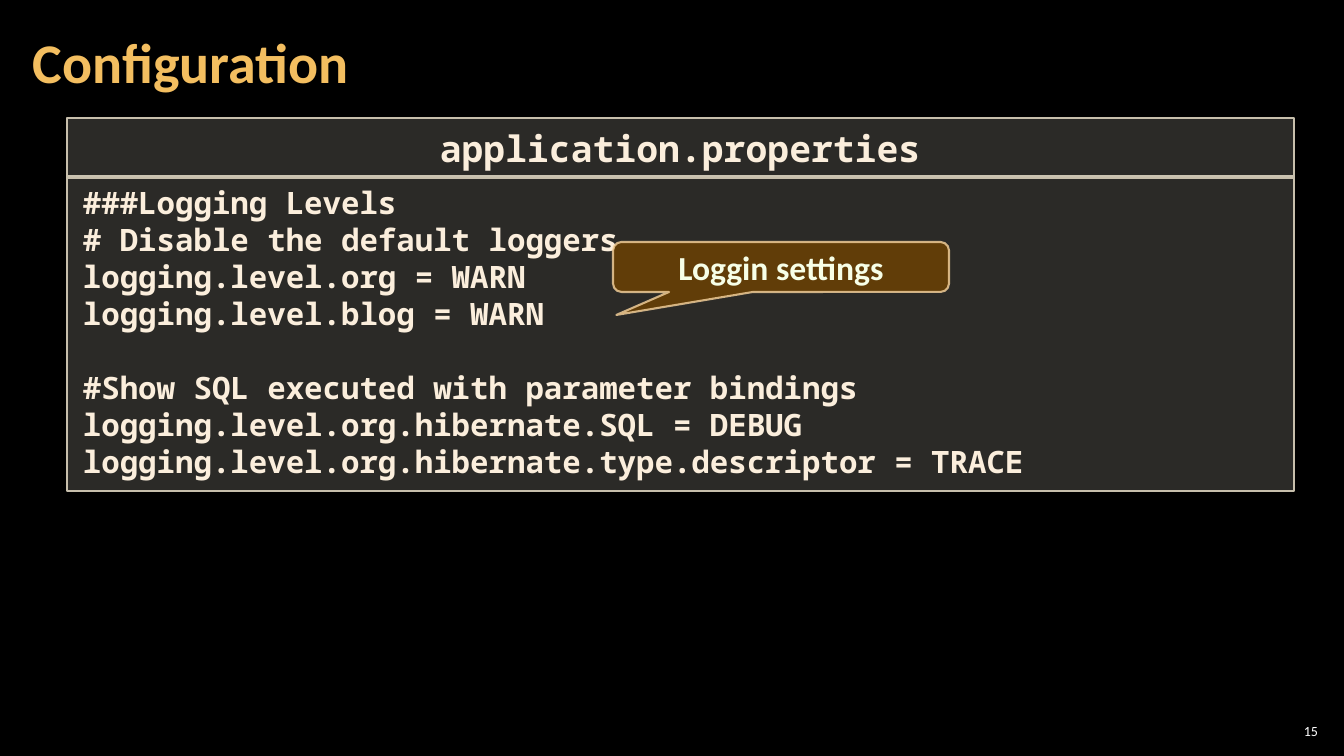
from lxml import etree
from pptx import Presentation
from pptx import util as u
from pptx.dml.color import RGBColor
from pptx.enum import shapes, text
from pptx.oxml import ns

EMU_PER_PX = 914400 / 100.8
MONO = "Noto Sans Mono"
SANS = "Calibri"
CREAM = "FBEEDC"
SETTING_GROUPS = [
    ["###Logging Levels",
     "# Disable the default loggers",
     "logging.level.org = WARN",
     "logging.level.blog = WARN"],
    ["#Show SQL executed with parameter bindings",
     "logging.level.org.hibernate.SQL = DEBUG",
     "logging.level.org.hibernate.type.descriptor = TRACE"],
]


def px(length):
    """Turn pixels into EMU."""
    return u.Emu(round(length * EMU_PER_PX))


def paint(color_format, color, opacity=100):
    """Set a hex colour and its opacity in percent on a solid fill."""
    color_format.solid()
    color_format.fore_color.rgb = RGBColor.from_string(color)
    if opacity < 100:
        for node in color_format._xPr.iter(ns.qn("a:srgbClr")):
            etree.SubElement(node, ns.qn("a:alpha"), val=str(opacity * 1000))


def write(box, lines, font, size, color, align, anchor, margins, bold=True):
    """Fill a box with equally styled lines and return its paragraphs."""
    frame = box.text_frame
    frame.text = "\n".join(lines)
    frame.word_wrap = True
    frame.vertical_anchor = anchor
    frame.margin_left = frame.margin_right = px(margins[0])
    frame.margin_top = frame.margin_bottom = px(margins[1])
    for para in frame.paragraphs:
        para.alignment = align
        for span in para.runs:
            span.font.name = font
            span.font.size = u.Pt(size)
            span.font.bold = bold
            paint(span.font.fill, color)
    return frame.paragraphs


def add_box(page, kind, area, fill, line, width, fill_opacity, line_opacity=100):
    """Add a filled and outlined shape without shadow."""
    box = page.shapes.add_shape(kind, *map(px, area))
    box.shadow.inherit = False
    paint(box.fill, fill, fill_opacity)
    paint(box.line.fill, line, line_opacity)
    box.line.width = u.Pt(width)
    return box


def add_label(page, area, label, size, color, align, margins, bold):
    """Add a vertically centred text box and return its paragraph."""
    box = page.shapes.add_textbox(*map(px, area))
    return write(box, [label], SANS, size, color, align,
                 text.MSO_ANCHOR.MIDDLE, margins, bold)[0]


def add_code_panel(page, left, top, width, height, header_height):
    """Add the settings listing under its file name header."""
    body_top = top + header_height - 2
    parts = [
        (body_top, top + height - body_top, sum(SETTING_GROUPS, []), 22, text.PP_ALIGN.LEFT),
        (top, header_height, ["application.properties"], 26, text.PP_ALIGN.CENTER),
    ]
    panels = []
    for part_top, part_height, lines, size, align in parts:
        box = add_box(page, shapes.MSO_SHAPE.RECTANGLE, (left, part_top, width, part_height),
                      "D9D5C7", "C7BFAC", 1, 20)
        panels.append(write(box, lines, MONO, size, CREAM, align,
                            text.MSO_ANCHOR.TOP, (16, 8)))
    panels[0][len(SETTING_GROUPS[0])].space_before = u.Pt(26.4)


def add_callout(page, left, top, width, height):
    """Add the speech bubble that explains the settings."""
    bubble = add_box(page, shapes.MSO_SHAPE.ROUNDED_RECTANGULAR_CALLOUT,
                     (left, top, width, height), "643F07", "F8D49E", 1.5, 95, 80)
    for index, value in enumerate((-0.49, 0.96, 0.17)):
        bubble.adjustments[index] = value
    write(bubble, ["Loggin settings"], SANS, 24, "F7FFE7",
          text.PP_ALIGN.CENTER, text.MSO_ANCHOR.MIDDLE, (10, 5))


def build_page(deck):
    """Build the configuration slide."""
    page = deck.slides.add_slide(deck.slide_layouts[6])
    paint(page.background.fill, "000000")
    add_label(page, (1275, 720, 47, 21), "15", 10, "FFFFFF",
              text.PP_ALIGN.RIGHT, (4, 4), False)
    title = add_label(page, (21, 4, 1055, 122), "Configuration", 40, "F3BE60",
                      text.PP_ALIGN.LEFT, (12, 4), True)
    title.line_spacing = 0.9
    add_code_panel(page, 67, 118, 1227, 373, 60)
    add_callout(page, 613, 242, 336, 50)


def main():
    """Create the deck and save it."""
    deck = Presentation()
    deck.slide_width, deck.slide_height = px(1344), px(756)
    build_page(deck)
    deck.save("out.pptx")


if __name__ == "__main__":
    main()
